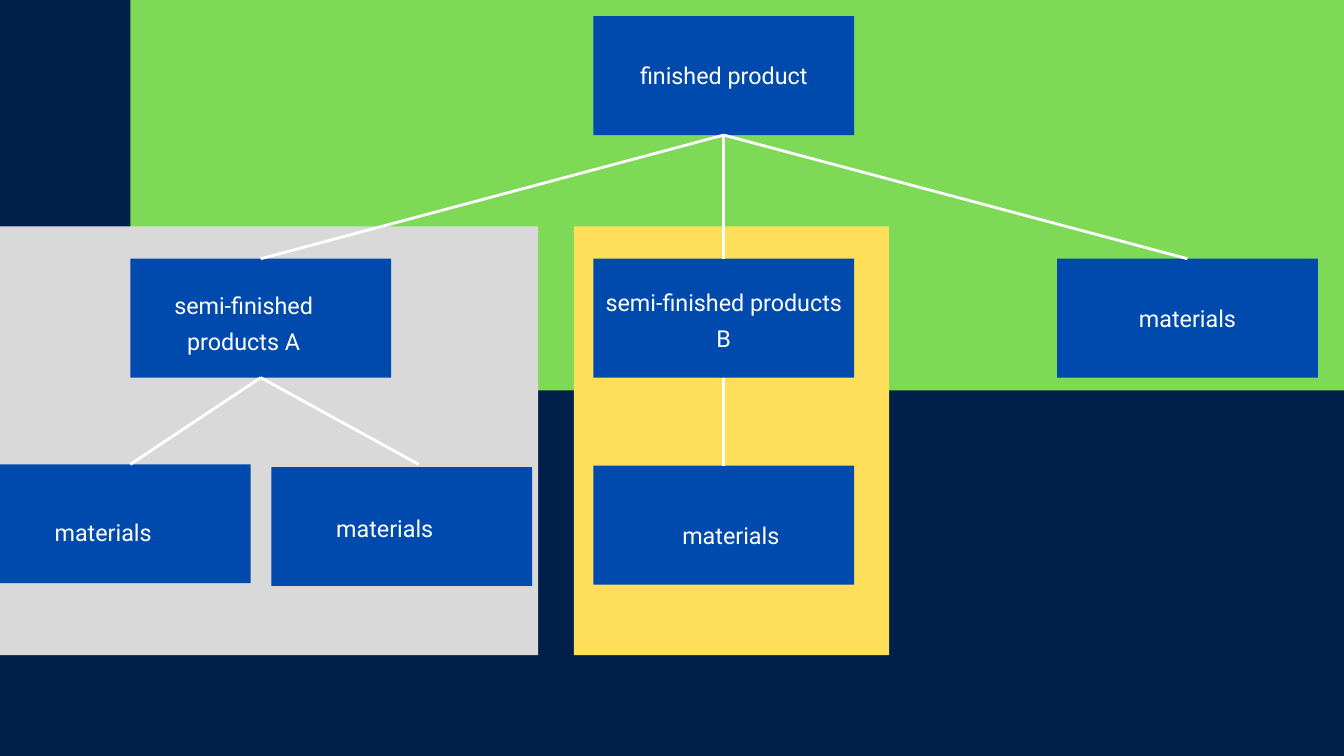
from dataclasses import dataclass

from lxml import etree
from pptx import Presentation
from pptx.dml.color import RGBColor
from pptx.enum.shapes import MSO_CONNECTOR, MSO_SHAPE
from pptx.enum.text import MSO_ANCHOR, PP_ALIGN
from pptx.oxml.ns import qn
from pptx.shapes.autoshape import Shape
from pptx.slide import Slide
from pptx.util import Inches, Pt

RECTANGLE = MSO_SHAPE.RECTANGLE
STRAIGHT = MSO_CONNECTOR.STRAIGHT
CENTER = PP_ALIGN.CENTER
MIDDLE = MSO_ANCHOR.MIDDLE

NAVY = RGBColor(0x00, 0x20, 0x4B)
GREEN = RGBColor(0x7E, 0xD9, 0x57)
YELLOW = RGBColor(0xFF, 0xDE, 0x59)
GRAY = RGBColor(0xD9, 0xD9, 0xD9)
BLUE = RGBColor(0x00, 0x4A, 0xAD)
WHITE = RGBColor(0xFF, 0xFF, 0xFF)

FONT = "Roboto"
BOX_WIDTH, BOX_HEIGHT = 3.88, 1.77
LEFT_COLUMN, MIDDLE_COLUMN, RIGHT_COLUMN = 1.94, 8.83, 15.73
SECOND_ROW = 3.85
INSET = 0.06
VERTICAL_INSET = 0.2
TOP, BOTTOM = 0, 2


@dataclass(frozen=True)
class Panel:
    left: float
    top: float
    width: float
    height: float
    color: RGBColor


@dataclass(frozen=True)
class Item:
    """A box of the product tree; text_drop lowers its label from the middle."""
    name: str
    label: str
    left: float
    top: float
    left_inset: float = INSET
    right_inset: float = INSET
    text_drop: float = -0.06


@dataclass(frozen=True)
class Link:
    """A line from a parent to a child box, or to a free point."""
    parent: str
    child: str = ""
    end: tuple[float, float] = (0, 0)


PANELS = [
    Panel(1.94, 0, 18.06, 5.81, GREEN),
    Panel(8.54, 3.37, 4.69, 6.38, YELLOW),
    Panel(0, 3.37, 8.01, 6.38, GRAY),
]
ITEMS = [
    Item("product", "finished product", MIDDLE_COLUMN, 0.24),
    Item("semi A", "semi-finished products A", LEFT_COLUMN, SECOND_ROW,
         right_inset=0.57, text_drop=0.02),
    Item("semi B", "semi-finished products B", MIDDLE_COLUMN, SECOND_ROW,
         text_drop=-0.03),
    Item("materials", "materials", RIGHT_COLUMN, SECOND_ROW),
    Item("materials A1", "materials", -0.15, 6.91,
         right_inset=0.57, text_drop=0.06),
    Item("materials A2", "materials", 4.04, 6.95,
         right_inset=0.57, text_drop=-0.03),
    Item("materials B", "materials", MIDDLE_COLUMN, 6.93,
         left_inset=0.27, text_drop=0.09),
]
LINKS = [
    Link("semi A", end=(1.94, 6.91)),
    Link("semi A", end=(6.23, 6.91)),
    Link("product", "semi B"),
    Link("product", "materials"),
    Link("product", "semi A"),
    Link("semi B", "materials B"),
]


def add_panel(slide: Slide, panel: Panel) -> Shape:
    shape = slide.shapes.add_shape(
        RECTANGLE, Inches(panel.left), Inches(panel.top),
        Inches(panel.width), Inches(panel.height))
    shape.shadow.inherit = False
    shape.fill.solid()
    shape.fill.fore_color.rgb = panel.color
    shape.line.fill.background()
    return shape


def add_item(slide: Slide, item: Item) -> Shape:
    box = add_panel(slide, Panel(item.left, item.top, BOX_WIDTH, BOX_HEIGHT, BLUE))
    frame = box.text_frame
    frame.word_wrap = True
    frame.vertical_anchor = MIDDLE
    frame.margin_left = Inches(item.left_inset)
    frame.margin_right = Inches(item.right_inset)
    frame.margin_top = Inches(VERTICAL_INSET + item.text_drop)
    frame.margin_bottom = Inches(VERTICAL_INSET - item.text_drop)
    frame.text = item.label
    para = frame.paragraphs[0]
    para.alignment = CENTER
    para.line_spacing = Pt(38.5)
    font = para.runs[0].font
    font.name = FONT
    font.size = Pt(25)
    font.color.rgb = WHITE
    return box


def add_link(slide: Slide, link: Link, boxes: dict[str, Shape]) -> None:
    end_x, end_y = link.end
    line = slide.shapes.add_connector(
        STRAIGHT, 0, 0, Inches(end_x), Inches(end_y))
    line.begin_connect(boxes[link.parent], BOTTOM)
    if link.child:
        line.end_connect(boxes[link.child], TOP)
    line.line.color.rgb = WHITE
    line.line.width = Pt(3)
    etree.SubElement(line._element.spPr, qn("a:effectLst"))


def main() -> None:
    deck = Presentation()
    deck.slide_width, deck.slide_height = Inches(20), Inches(11.25)
    slide = deck.slides.add_slide(deck.slide_layouts[6])
    slide.background.fill.solid()
    slide.background.fill.fore_color.rgb = NAVY
    for panel in PANELS:
        add_panel(slide, panel)
    boxes = {item.name: add_item(slide, item) for item in ITEMS}
    for link in LINKS:
        add_link(slide, link, boxes)
    deck.save("out.pptx")


if __name__ == "__main__":
    main()
